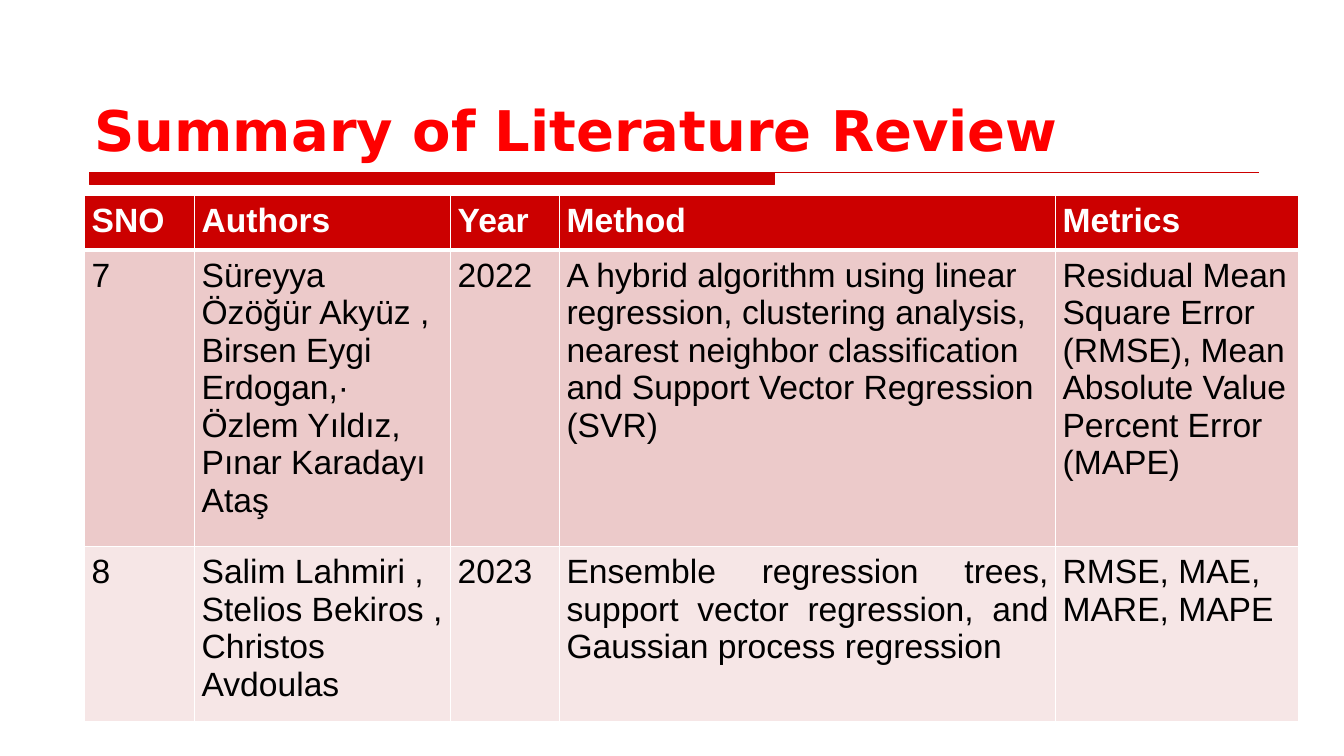
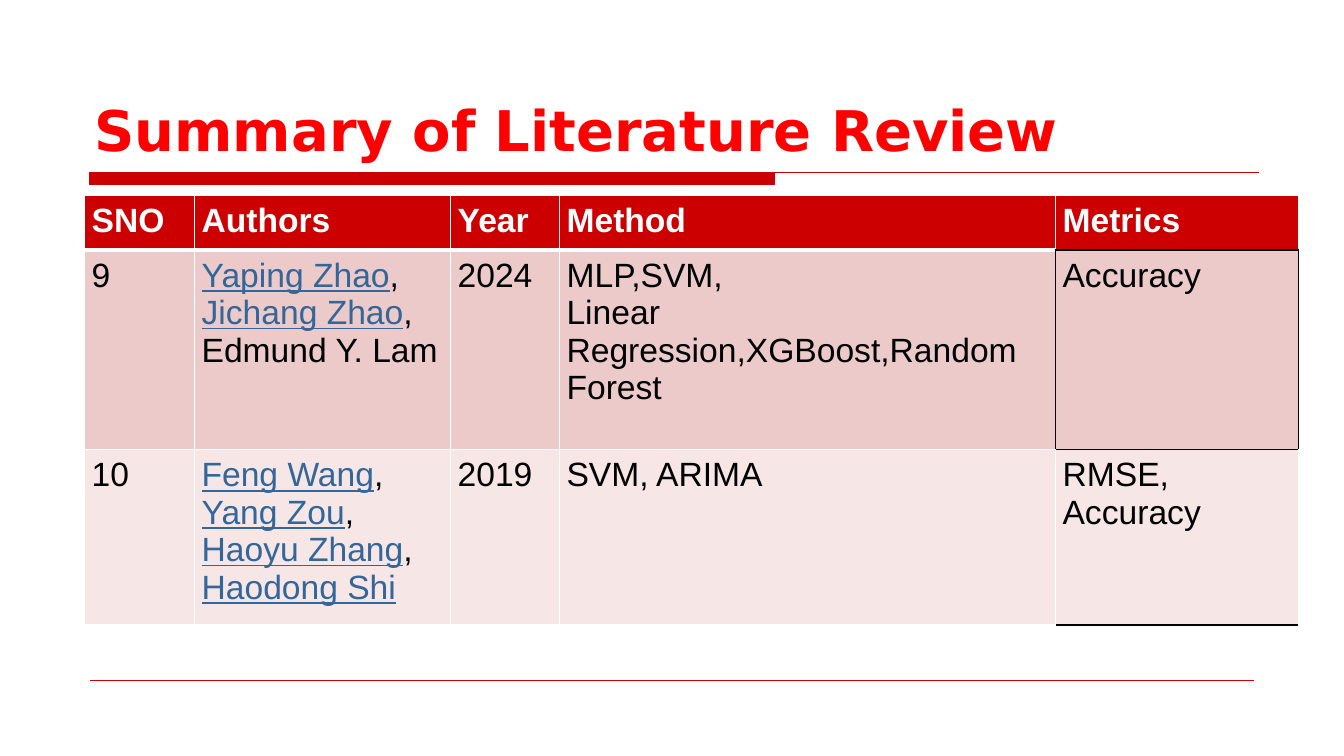
from dataclasses import dataclass

from lxml.etree import SubElement
from pptx import Presentation
from pptx.dml.color import RGBColor
from pptx.enum.shapes import MSO_CONNECTOR, MSO_SHAPE
from pptx.enum.text import MSO_ANCHOR, PP_ALIGN
from pptx.oxml import parse_xml
from pptx.oxml.ns import nsdecls, qn
from pptx.slide import Slide
from pptx.table import _Cell
from pptx.text.text import Font, _Paragraph
from pptx.util import Inches, Pt

RED = RGBColor(0xCC, 0x00, 0x00)
TITLE_RED = RGBColor(0xFF, 0x00, 0x00)
LINK_BLUE = RGBColor(0x33, 0x66, 0x99)
WHITE = RGBColor(0xFF, 0xFF, 0xFF)
BLACK = RGBColor(0x00, 0x00, 0x00)
ROW_FILLS = (RED, RGBColor(0xEC, 0xCA, 0xCA), RGBColor(0xF6, 0xE6, 0xE6))

TITLE = "Summary of Literature Review"
HEADINGS = ("SNO", "Authors", "Year", "Method", "Metrics")
COLUMN_WIDTHS = (1.09, 2.54, 1.08, 4.92, 2.41)
HEADER_HEIGHT = 0.51
CELL_MARGIN = Inches(0.07)


@dataclass(frozen=True)
class Entry:
    """Cell content: one paragraph a line; black_edges names sides from LRTB."""
    text: str
    linked: tuple[str, ...] = ()
    justified: bool = False
    black_edges: str = ""


@dataclass(frozen=True)
class ReviewPage:
    row_heights: tuple[float, float]
    rows: tuple[tuple[Entry, ...], ...]
    metrics_heading: Entry = Entry("Metrics")


PAGES = (
    ReviewPage(
        row_heights=(2.73, 1.63),
        rows=(
            (
                Entry("7"),
                Entry("Süreyya Özöğür Akyüz , Birsen Eygi Erdogan,· "
                      "Özlem Yıldız, Pınar Karadayı Ataş"),
                Entry("2022"),
                Entry("A hybrid algorithm using linear regression, clustering analysis, "
                      "nearest neighbor classification and Support Vector Regression (SVR)"),
                Entry("Residual Mean Square Error (RMSE), "
                      "Mean Absolute Value Percent Error (MAPE)"),
            ),
            (
                Entry("8"),
                Entry("Salim Lahmiri , Stelios Bekiros , Christos Avdoulas"),
                Entry("2023"),
                Entry("Ensemble regression trees, support vector regression, "
                      "and Gaussian process regression", justified=True),
                Entry("RMSE, MAE, MARE, MAPE"),
            ),
        ),
    ),
    ReviewPage(
        row_heights=(1.98, 1.63),
        metrics_heading=Entry("Metrics", black_edges="B"),
        rows=(
            (
                Entry("9"),
                Entry("Yaping Zhao,\nJichang Zhao,\nEdmund Y. Lam",
                      linked=("Yaping Zhao", "Jichang Zhao")),
                Entry("2024"),
                Entry("MLP,SVM,\nLinear\nRegression,XGBoost,Random Forest", black_edges="R"),
                Entry("Accuracy", black_edges="LRTB"),
            ),
            (
                Entry("10"),
                Entry("Feng Wang,\nYang Zou,\nHaoyu Zhang,\nHaodong Shi",
                      linked=("Feng Wang", "Yang Zou", "Haoyu Zhang", "Haodong Shi")),
                Entry("2019"),
                Entry("SVM, ARIMA"),
                Entry("RMSE, Accuracy", black_edges="TB"),
            ),
        ),
    ),
)


def set_font(font: Font, name: str, size: int, color: RGBColor, bold: bool) -> None:
    font.name = name
    font.size = Pt(size)
    font.color.rgb = color
    font.bold = bold


def add_rule(slide: Slide, left: float, right: float, top: float) -> None:
    line = slide.shapes.add_connector(
        MSO_CONNECTOR.STRAIGHT, Inches(left), Inches(top), Inches(right), Inches(top))
    line.line.color.rgb = RED
    line.line.width = Pt(0.75)
    SubElement(line._element.spPr, qn("a:effectLst"))


def add_frame(slide: Slide) -> None:
    """Draw the title, its band and the rules shared by all slides."""
    band = slide.shapes.add_shape(
        MSO_SHAPE.RECTANGLE, Inches(0.89), Inches(1.71), Inches(6.79), Inches(0.12))
    band.shadow.inherit = False
    band.fill.solid()
    band.fill.fore_color.rgb = RED
    band.line.color.rgb = RED
    band.line.width = Pt(0.75)
    add_rule(slide, 0.89, 12.49, 1.71)
    add_rule(slide, 0.89, 12.44, 6.75)

    title = slide.shapes.add_textbox(Inches(0.84), Inches(0.33), Inches(11.67), Inches(1.33))
    frame = title.text_frame
    frame.word_wrap = True
    frame.vertical_anchor = MSO_ANCHOR.BOTTOM
    frame.text = TITLE
    set_font(frame.paragraphs[0].font, "DejaVu Sans", 40, TITLE_RED, True)


def set_borders(cell: _Cell, is_header: bool, black_edges: str) -> None:
    properties = cell._tc.get_or_add_tcPr()
    for position, side in enumerate("LRTB"):
        black = side in black_edges
        width = Pt(3 if is_header and side == "B" and not black else 1)
        properties.insert(position, parse_xml(
            f'<a:ln{side} {nsdecls("a")} w="{width}"><a:solidFill>'
            f'<a:srgbClr val="{BLACK if black else WHITE}"/></a:solidFill></a:ln{side}>'))


def fill_paragraph(paragraph: _Paragraph, line: str, linked: tuple[str, ...]) -> None:
    """Write a line, with a linked name underlined and its comma plain."""
    name = line.rstrip(",")
    if name not in linked:
        paragraph.add_run().text = line
        return
    link = paragraph.add_run()
    link.text = name
    link.font.color.rgb = LINK_BLUE
    link.font.underline = True
    if name != line:
        paragraph.add_run().text = ","


def fill_cell(cell: _Cell, entry: Entry, row_index: int) -> None:
    is_header = row_index == 0
    cell.fill.solid()
    cell.fill.fore_color.rgb = ROW_FILLS[row_index]
    set_borders(cell, is_header, entry.black_edges)
    cell.margin_left = cell.margin_right = CELL_MARGIN
    cell.margin_top = cell.margin_bottom = CELL_MARGIN
    frame = cell.text_frame
    for index, line in enumerate(entry.text.split("\n")):
        paragraph = frame.add_paragraph() if index else frame.paragraphs[0]
        fill_paragraph(paragraph, line, entry.linked)
        paragraph.alignment = PP_ALIGN.JUSTIFY if entry.justified else PP_ALIGN.LEFT
        set_font(paragraph.font, "Arial", 24, WHITE if is_header else BLACK, is_header)


def add_review_table(slide: Slide, page: ReviewPage) -> None:
    header = (*map(Entry, HEADINGS[:-1]), page.metrics_heading)
    rows = (header, *page.rows)
    heights = (HEADER_HEIGHT, *page.row_heights)
    table = slide.shapes.add_table(
        len(rows), len(HEADINGS), Inches(0.84), Inches(1.94),
        Inches(sum(COLUMN_WIDTHS)), Inches(sum(heights))).table
    for column, width in zip(table.columns, COLUMN_WIDTHS):
        column.width = Inches(width)
    for row_index, (entries, height) in enumerate(zip(rows, heights)):
        table.rows[row_index].height = Inches(height)
        for column_index, entry in enumerate(entries):
            fill_cell(table.cell(row_index, column_index), entry, row_index)


def main() -> None:
    presentation = Presentation()
    presentation.slide_width = Inches(13.33)
    presentation.slide_height = Inches(7.5)
    blank_layout = presentation.slide_layouts[6]
    for page in PAGES:
        slide = presentation.slides.add_slide(blank_layout)
        add_frame(slide)
        add_review_table(slide, page)
    presentation.save("out.pptx")


if __name__ == "__main__":
    main()
